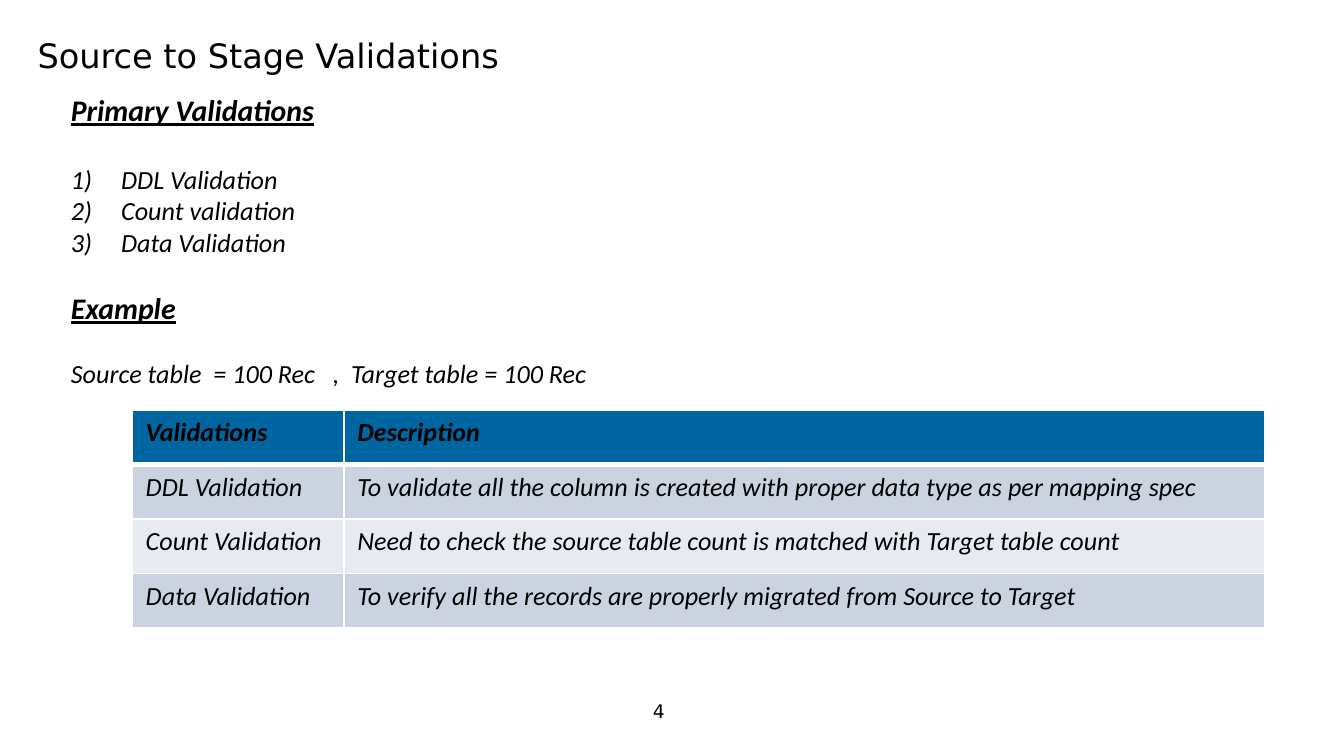
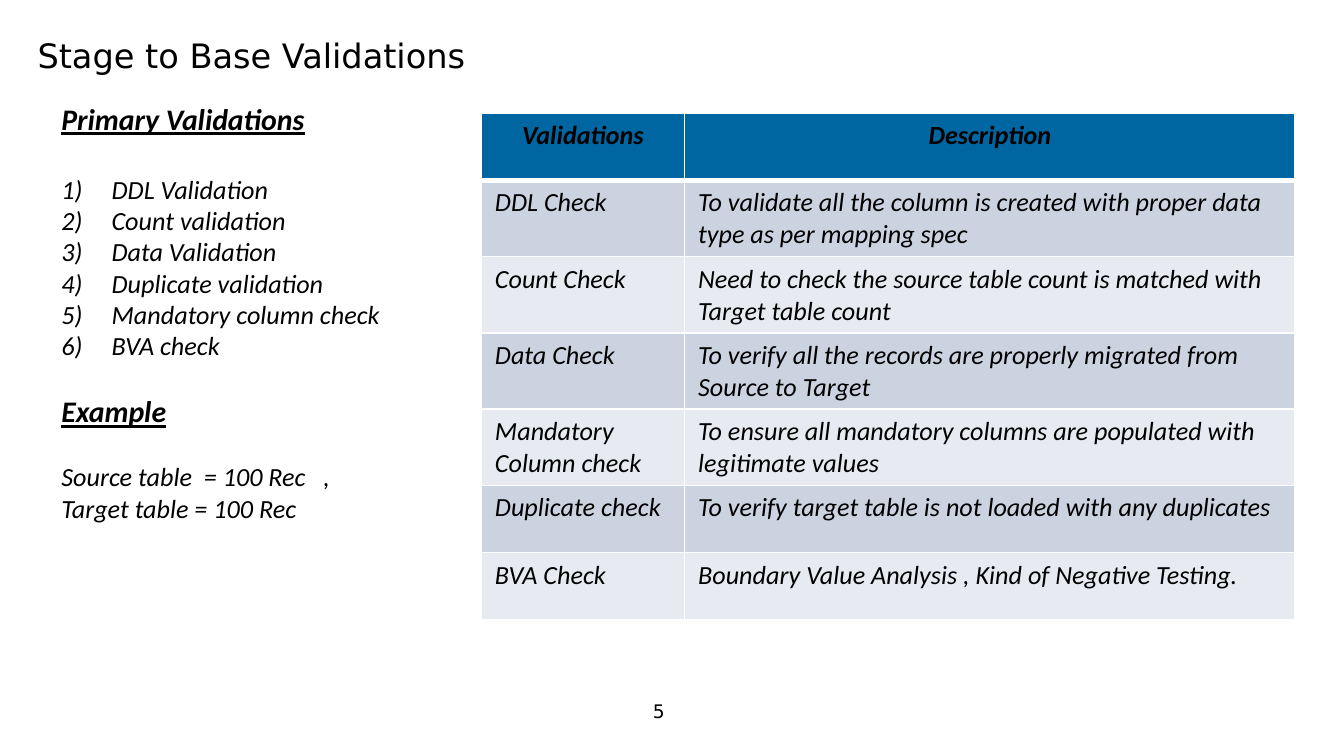
from lxml.etree import SubElement
from pptx import Presentation
from pptx.dml.color import RGBColor
from pptx.enum.text import MSO_ANCHOR as Anchor, MSO_AUTO_SIZE as AutoSize, PP_ALIGN as Align
from pptx.oxml.ns import qn
from pptx.util import Cm, Pt

BLACK = RGBColor(0x00, 0x00, 0x00)
WHITE = RGBColor(0xFF, 0xFF, 0xFF)
HEADER_BLUE = RGBColor(0x00, 0x66, 0xA1)
BANDS = (RGBColor(0xCC, 0xD3, 0xE0), RGBColor(0xE7, 0xEA, 0xF0))
TITLE_FONT, BODY_FONT = "DejaVu Sans", "Calibri"
HEADING_SIZE, BODY_SIZE = 16, 14
LINE_HEIGHT = 1.22  # body font line height, as a multiple of its size
LIST_INDENT = Cm(0.95)

TABLE_HEAD = ("Validations", "Description")
DDL_RULE = "To validate all the column is created with proper data type as per mapping spec"
COUNT_RULE = "Need to check the source table count is matched with Target table count"
DATA_RULE = "To verify all the records are properly migrated from Source to Target"
BASIC_CHECKS = ["DDL Validation", "Count validation", "Data Validation"]

PAGES = [
    {
        "number": 4,
        "title": "Source to Stage Validations",
        "body_at": (1.09, 1.6, 23.19, 10.52),
        "checks": BASIC_CHECKS,
        "example": ["Source table  = 100 Rec   ,  Target table = 100 Rec"],
        "table_at": (2.5, 7.75),
        "columns": (4.0, 17.4),
        "row_height": 1.03,
        "head_align": Align.LEFT,
        "rows": [
            ("DDL Validation", DDL_RULE),
            ("Count Validation", COUNT_RULE),
            ("Data Validation", DATA_RULE),
        ],
    },
    {
        "number": 5,
        "title": "Stage to Base Validations",
        "body_at": (0.91, 1.78, 24.03, 10.59),
        "checks": BASIC_CHECKS
        + ["Duplicate validation", "Mandatory column check", "BVA check"],
        "example": ["Source table  = 100 Rec   ,", "Target table = 100 Rec"],
        "table_at": (9.1, 2.14),
        "columns": (3.84, 11.54),
        "row_height": 1.27,
        "head_align": Align.CENTER,
        "rows": [
            ("DDL Check", DDL_RULE),
            ("Count Check", COUNT_RULE),
            ("Data Check", DATA_RULE),
            ("Mandatory Column check",
             "To ensure all mandatory columns are populated with legitimate values"),
            ("Duplicate check", "To verify target table is not loaded with any duplicates"),
            ("BVA Check", "Boundary Value Analysis , Kind of Negative Testing."),
        ],
    },
]


def style(para, font_name, size, bold=False, italic=False, underline=False):
    for span in para.runs:
        font = span.font
        font.name, font.size = font_name, Pt(size)
        font.bold, font.italic, font.underline = bold, italic, underline
        font.color.rgb = BLACK


def add_box(page, at):
    box = page.shapes.add_textbox(*(Cm(length) for length in at))
    box.text_frame.word_wrap = True
    return box.text_frame


def add_label(page, at, text, size, anchor=Anchor.TOP):
    frame = add_box(page, at)
    frame.vertical_anchor = anchor
    frame.text = text
    style(frame.paragraphs[0], TITLE_FONT, size)


def number(para):
    """Give the paragraph an automatic 1) 2) 3) number."""
    properties = para._p.get_or_add_pPr()
    properties.set("marL", str(LIST_INDENT))
    properties.set("indent", str(-LIST_INDENT))
    SubElement(properties, qn("a:buFont"), typeface="+mj-lt")
    SubElement(properties, qn("a:buAutoNum"), type="arabicParenR")


def add_body(page, content):
    frame = add_box(page, content["body_at"])
    frame.auto_size = AutoSize.SHAPE_TO_FIT_TEXT
    sections = [
        ("Primary Validations", content["checks"], HEADING_SIZE),
        ("Example", content["example"], BODY_SIZE),
    ]
    frame.text = "\n".join(line for heading, lines, _ in sections for line in (heading, *lines))
    paras = iter(frame.paragraphs)
    for index, (_, lines, gap_size) in enumerate(sections):
        heading = next(paras)
        style(heading, BODY_FONT, HEADING_SIZE, bold=True, italic=True, underline=True)
        heading.space_after = Pt(gap_size * LINE_HEIGHT)
        if index:
            heading.space_before = Pt(BODY_SIZE * LINE_HEIGHT)
        for _ in lines:
            para = next(paras)
            style(para, BODY_FONT, BODY_SIZE, italic=True)
            if lines is content["checks"]:
                number(para)


def set_borders(cell, top, bottom):
    properties = cell._tc.get_or_add_tcPr()
    for side, width in (("L", 1), ("R", 1), ("T", top), ("B", bottom)):
        line = SubElement(properties, qn(f"a:ln{side}"), w=str(Pt(width)))
        fill = SubElement(line, qn("a:solidFill"))
        SubElement(fill, qn("a:srgbClr"), val=str(WHITE))


def add_checks_table(page, content):
    rows = [TABLE_HEAD, *content["rows"]]
    widths, height = content["columns"], content["row_height"]
    left, top = content["table_at"]
    table = page.shapes.add_table(
        len(rows), len(widths), Cm(left), Cm(top), Cm(sum(widths)), Cm(height * len(rows))
    ).table
    for column, width in zip(table.columns, widths):
        column.width = Cm(width)
    for r, texts in enumerate(rows):
        is_head = r == 0
        table.rows[r].height = Cm(height)
        for c, text in enumerate(texts):
            cell = table.cell(r, c)
            set_borders(cell, top=3 if r == 1 else 1, bottom=3 if is_head else 1)
            cell.fill.solid()
            cell.fill.fore_color.rgb = HEADER_BLUE if is_head else BANDS[(r - 1) % 2]
            cell.text = text
            para = cell.text_frame.paragraphs[0]
            para.alignment = content["head_align"] if is_head else Align.LEFT
            style(para, BODY_FONT, BODY_SIZE, bold=is_head, italic=True)


def main():
    deck = Presentation()
    deck.slide_width, deck.slide_height = Cm(25.4), Cm(14.29)
    blank = deck.slide_layouts[6]
    for content in PAGES:
        page = deck.slides.add_slide(blank)
        add_label(page, (12.09, 13.13, 1.22, 0.61), str(content["number"]), 10, Anchor.MIDDLE)
        add_label(page, (0.46, 0.53, 24.31, 0.99), content["title"], 18)
        add_body(page, content)
        add_checks_table(page, content)
    deck.save("out.pptx")


if __name__ == "__main__":
    main()
